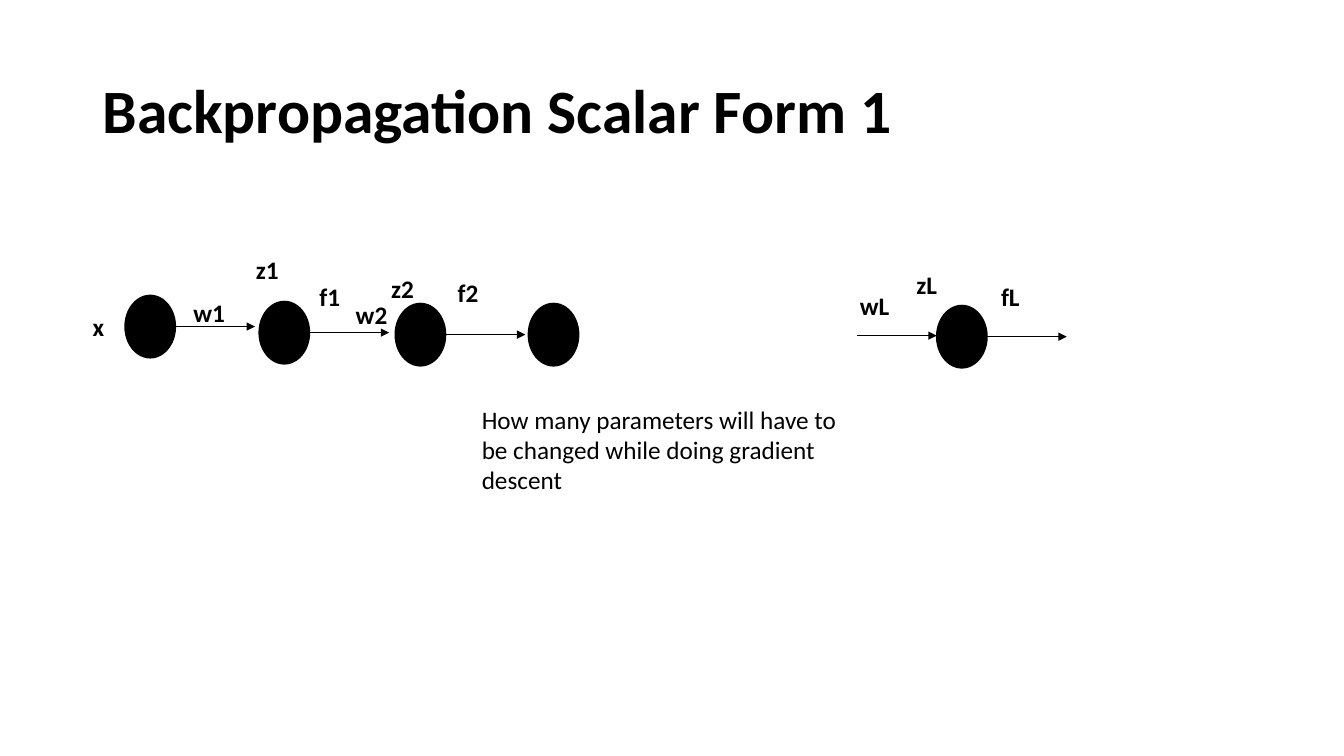
from pptx import Presentation
from pptx.dml.color import RGBColor
from pptx.enum.shapes import MSO_CONNECTOR as CONN, MSO_SHAPE as SHAPE
from pptx.enum.text import MSO_ANCHOR as ANCHOR
from pptx.oxml.ns import qn
from pptx.util import Inches, Pt
from lxml import etree

# Content: places in inches
FONT, BLACK = "Calibri", "000000"
TITLE = "Backpropagation Scalar Form 1"
QUESTION = "How many parameters will have to be changed while doing gradient descent"
NEURON_W, NEURON_H, ARROW_LEN = 0.5, 0.62, 0.79
NEURONS = [(1.24, 2.93), (2.57, 2.99), (3.92, 3.01), (5.24, 3.01), (9.29, 3.03)]
SENDERS = [0, 1, 2, 4]  # neurons with an outgoing arrow
LABEL_H = 0.4
LABELS = [  # text, left, top, width
    ("x", 0.82, 3.04, 0.28),
    ("w1", 1.82, 2.9, 0.61),
    ("z1", 2.44, 2.47, 0.5),
    ("f1", 3.07, 2.74, 0.49),
    ("w2", 3.43, 2.92, 0.61),
    ("z2", 3.78, 2.66, 0.61),
    ("f2", 4.44, 2.7, 0.61),
    ("wL", 8.43, 2.83, 0.61),
    ("zL", 8.99, 2.62, 0.61),
    ("fL", 9.83, 2.74, 0.61),
]

prs = Presentation()
prs.slide_width, prs.slide_height = Inches(13.33), Inches(7.5)
s = prs.slides.add_slide(prs.slide_layouts[6])


def color(value):
    return RGBColor.from_string(value)


def add_text(text, x, y, w, h, size=18, bold=False):
    sp = s.shapes.add_textbox(Inches(x), Inches(y), Inches(w), Inches(h))
    tf = sp.text_frame
    tf.word_wrap = True
    tf.text = text
    font = tf.paragraphs[0].runs[0].font
    font.name, font.size, font.bold = FONT, Pt(size), bold
    font.color.rgb = color(BLACK)
    return tf


def add_neuron(x, y):
    sp = s.shapes.add_shape(SHAPE.OVAL, Inches(x), Inches(y), Inches(NEURON_W), Inches(NEURON_H))
    sp.shadow.inherit = False
    sp.fill.solid()
    sp.fill.fore_color.rgb = color(BLACK)
    sp.line.color.rgb = color(BLACK)
    sp.line.width = Pt(1)


def add_arrow(x, y):
    sp = s.shapes.add_connector(CONN.STRAIGHT, Inches(x), Inches(y), Inches(x + ARROW_LEN), Inches(y))
    sp.line.color.rgb = color(BLACK)
    sp.line.width = Pt(0.5)
    pr = sp._element.spPr
    etree.SubElement(pr.find(qn("a:ln")), qn("a:tailEnd"), type="triangle")
    etree.SubElement(pr, qn("a:effectLst"))


# Title
tf = add_text(TITLE, 0.92, 0.4, 11.5, 1.45, size=44, bold=True)
tf.vertical_anchor = ANCHOR.MIDDLE
tf.paragraphs[0].line_spacing = 0.9

# Chain of neurons
for x, y in NEURONS:
    add_neuron(x, y)

# Outgoing arrows, and the one entering the last neuron
for i in SENDERS:
    x, y = NEURONS[i]
    add_arrow(x + NEURON_W, y + NEURON_H / 2)
last_x, last_y = NEURONS[-1]
add_arrow(last_x - ARROW_LEN, last_y + NEURON_H / 2 - 0.01)

# Labels and question
for text, x, y, w in LABELS:
    add_text(text, x, y, w, LABEL_H, bold=True)
add_text(QUESTION, 4.68, 3.96, 4.01, 1.01)

prs.save("out.pptx")
